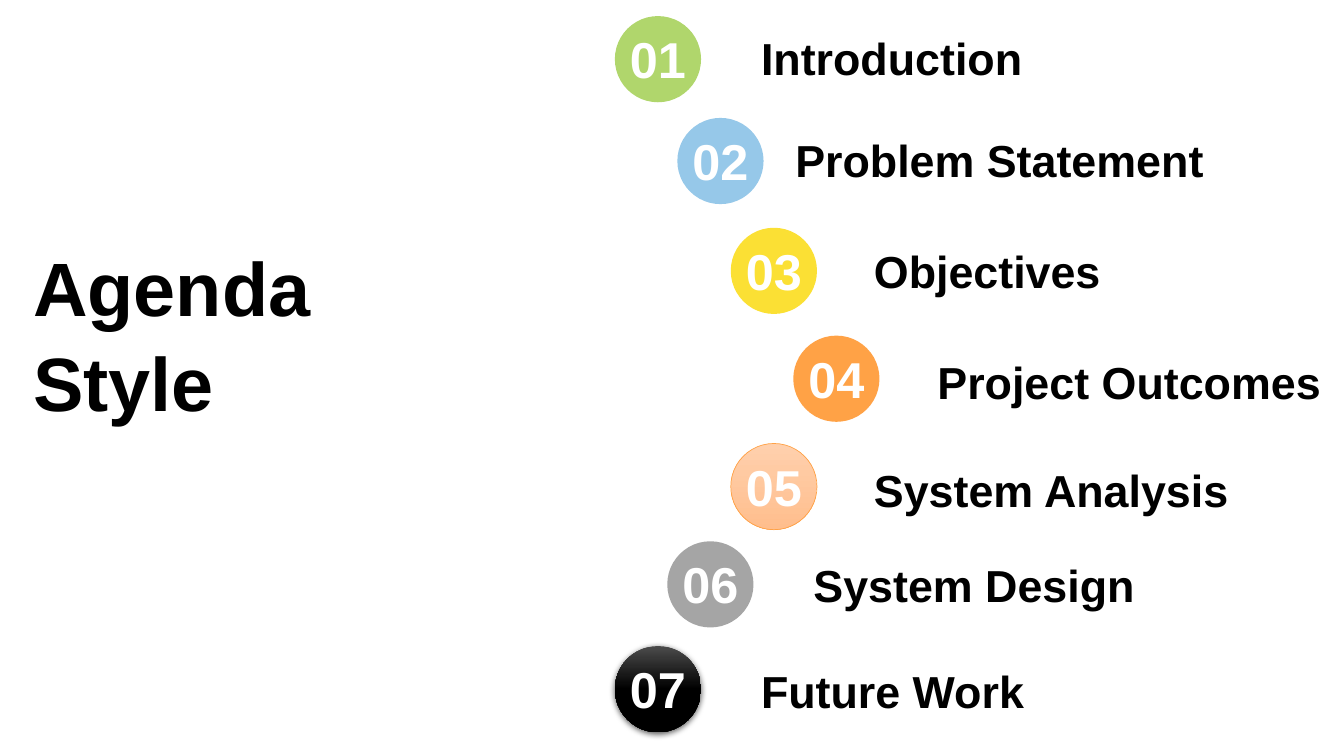
import dataclasses

import pptx
import pptx.dml.color
import pptx.enum.shapes
import pptx.enum.text
import pptx.oxml
import pptx.util

CELL = pptx.util.Inches(0.1)
COLS, ROWS = 133.33, 75
DISC = 8.55
TAG_W, TAG_H = 10.5, 7.1
NAME_W, NAME_H = 49.3, 6.4


@dataclasses.dataclass(frozen=True)
class Theme:
    """Colours and type sizes of the slide."""
    font: str = "Arial"
    ink: str = "000000"
    pale: str = "FFFFFF"
    green: str = "B0D66C"
    blue: str = "96C8E9"
    gold: str = "FBE034"
    warm: str = "FFA246"
    grey: str = "A5A5A5"
    peach: tuple = ((0, "FFD0AD"), (1, "FFBE8D"))
    night: tuple = ((0, "4B4B4B"), (0.5, "000000"))
    title: int = 54
    label: int = 32
    number: int = 36


THEME = Theme()

# Each step: name, disc column and row, name column and row, fill, rim, shadow.
STEPS = (
    ("Introduction", 61, 1.6, 74.3, 2.6, THEME.green, None, False),
    ("Problem Statement", 67.2, 11.7, 77.7, 12.7, THEME.blue, None, False),
    ("Objectives", 72.5, 22.6, 85.5, 23.7, THEME.gold, None, False),
    ("Project Outcomes", 78.7, 33.3, 91.8, 34.7, THEME.warm, None, False),
    ("System Analysis", 72.5, 44, 85.5, 45.4, THEME.peach, THEME.warm, False),
    ("System Design", 66.2, 53.7, 79.5, 54.8, THEME.grey, None, False),
    ("Future Work", 61, 64.1, 74.3, 65.4, THEME.night, None, True),
)


def cells(*counts):
    """Turn counts of grid cells into lengths."""
    return [round(count * CELL) for count in counts]


def rgb(code):
    """Turn a hex code into a colour."""
    return pptx.dml.color.RGBColor.from_string(code)


def write(frame, text, size, color, align):
    """Put one bold paragraph into a text frame."""
    frame.word_wrap = True
    frame.auto_size = pptx.enum.text.MSO_AUTO_SIZE.SHAPE_TO_FIT_TEXT
    line = frame.paragraphs[0]
    line.text = text
    line.alignment = align
    line.font.name = THEME.font
    line.font.size = pptx.util.Pt(size)
    line.font.bold = True
    line.font.color.rgb = rgb(color)
    return line


def add_title(slide, text):
    """Place and format the slide title."""
    title = slide.shapes.title
    title.left, title.top, title.width, title.height = cells(2.3, 23.3, 29.7, 19.2)
    frame = title.text_frame
    frame.vertical_anchor = pptx.enum.text.MSO_ANCHOR.MIDDLE
    line = write(frame, text, THEME.title, THEME.ink, pptx.enum.text.PP_ALIGN.LEFT)
    line.line_spacing = 1.05


def add_text(group, box, text, size, color, align):
    """Add a text box to a group."""
    frame = group.shapes.add_textbox(*cells(*box)).text_frame
    frame.margin_left = frame.margin_right = pptx.util.Inches(0.12)
    write(frame, text, size, color, align)


def cast_shadow(shape):
    """Give a shape a soft shadow straight below it."""
    space = "http://schemas.openxmlformats.org/drawingml/2006/main"
    effect = pptx.oxml.parse_xml(
        f'<a:effectLst xmlns:a="{space}">'
        '<a:outerShdw blurRad="57150" dist="19050" dir="5400000" '
        'algn="ctr" rotWithShape="0"><a:srgbClr val="000000">'
        '<a:alpha val="63000"/></a:srgbClr></a:outerShdw></a:effectLst>')
    props = shape.fill._xPr
    for old in props.findall(f"{{{space}}}effectLst"):
        props.remove(old)
    props.append(effect)


def add_disc(group, col, row, paint, rim, shade):
    """Add a disc with a plain or graded fill."""
    oval = pptx.enum.shapes.MSO_SHAPE.OVAL
    disc = group.shapes.add_shape(oval, *cells(col, row, DISC, DISC))
    if isinstance(paint, str):
        disc.fill.solid()
        disc.fill.fore_color.rgb = rgb(paint)
    else:
        disc.fill.gradient()
        disc.fill.gradient_angle = 270
        for stop, (place, color) in zip(disc.fill.gradient_stops, paint):
            stop.position = place
            stop.color.rgb = rgb(color)
    if rim:
        disc.line.color.rgb = rgb(rim)
        disc.line.width = pptx.util.Pt(0.5)
    else:
        disc.line.fill.background()
    disc.shadow.inherit = False
    if shade:
        cast_shadow(disc)


def add_step(slide, number, step):
    """Add one agenda step as a group of name, disc and number."""
    name, col, row, name_col, name_row, paint, rim, shade = step
    align = pptx.enum.text.PP_ALIGN
    group = slide.shapes.add_group_shape()
    add_text(group, (name_col, name_row, NAME_W, NAME_H), name,
             THEME.label, THEME.ink, align.LEFT)
    add_disc(group, col, row, paint, rim, shade)
    tag = (col + (DISC - TAG_W) / 2, row + (DISC - TAG_H) / 2, TAG_W, TAG_H)
    add_text(group, tag, f"{number:02}", THEME.number, THEME.pale, align.CENTER)


def main():
    """Build the agenda slide."""
    deck = pptx.Presentation()
    deck.slide_width, deck.slide_height = cells(COLS, ROWS)
    slide = deck.slides.add_slide(deck.slide_layouts[5])
    add_title(slide, "Agenda Style")
    for number, step in enumerate(STEPS, 1):
        add_step(slide, number, step)
    deck.save("out.pptx")


if __name__ == "__main__":
    main()
